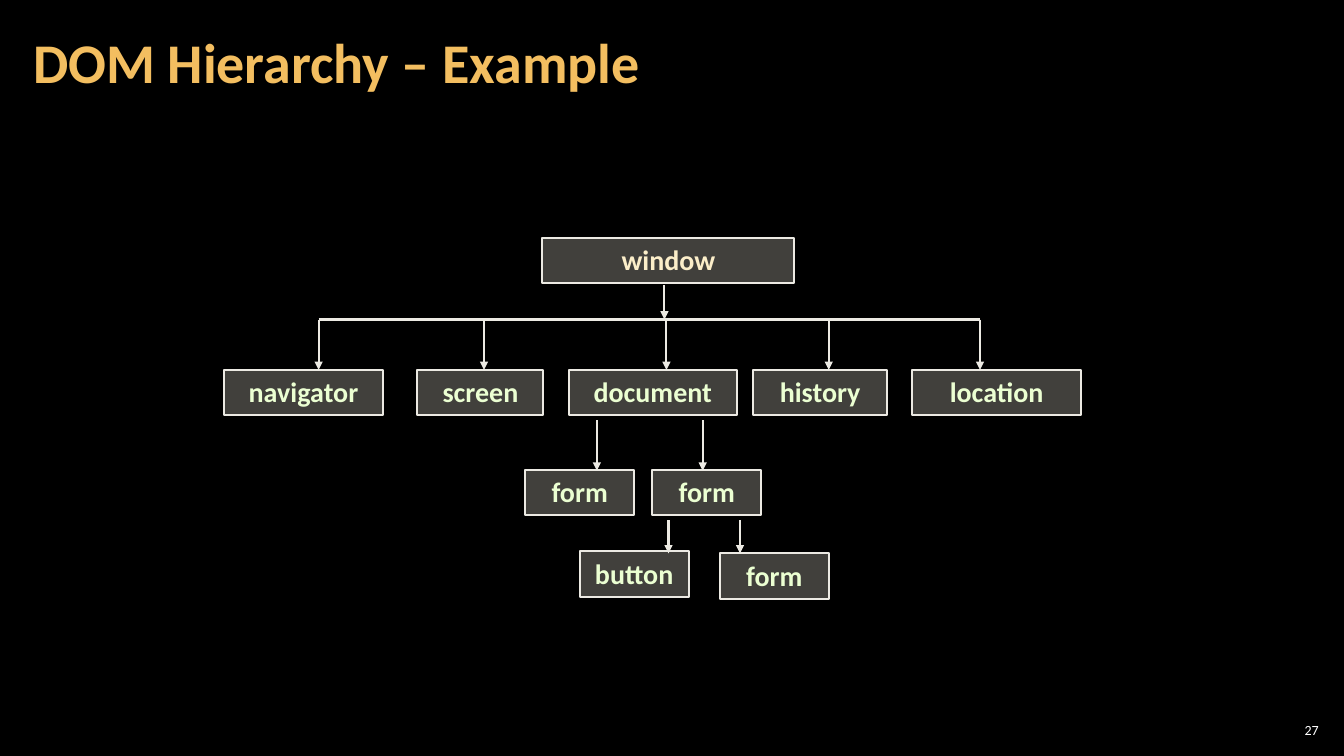
from dataclasses import dataclass

from lxml.etree import SubElement
from pptx import Presentation
from pptx.dml.color import RGBColor
from pptx.enum.shapes import MSO_CONNECTOR, MSO_SHAPE
from pptx.enum.text import MSO_ANCHOR as Anchor, MSO_AUTO_SIZE as AutoSize, PP_ALIGN as Align
from pptx.oxml.ns import qn
from pptx.slide import Slide
from pptx.text.text import TextFrame
from pptx.util import Inches, Pt

BACKGROUND = "000000"
TITLE_COLOR = "F3BE60"
NUMBER_COLOR = "FFFFFF"
BOX_FILL = "D9D5C7"
BOX_OPACITY = 30
LINE_COLOR = "ECEAE3"
ROOT_TEXT = "FBEEC9"
NODE_TEXT = "EBFFD2"
LINE_WIDTH = Pt(1.5)
BOX_HEIGHT = 0.45
BUS_Y = 3.17
OBJECT_Y = 3.67
FORM_Y = 4.66


@dataclass(frozen=True)
class Node:
    label: str
    left: float
    top: float
    width: float
    color: str = NODE_TEXT


@dataclass(frozen=True)
class Link:
    start: tuple[float, float]
    end: tuple[float, float]
    arrow: bool = True


def drop(x: float, top: float, bottom: float) -> Link:
    """Vertical arrow pointing down."""
    return Link((x, top), (x, bottom))


NODES = [
    Node("window", 5.38, 2.36, 2.5, ROOT_TEXT),
    Node("navigator", 2.22, OBJECT_Y, 1.58),
    Node("screen", 4.14, OBJECT_Y, 1.25),
    Node("document", 5.64, OBJECT_Y, 1.67),
    Node("history", 7.47, OBJECT_Y, 1.33),
    Node("location", 9.05, OBJECT_Y, 1.67),
    Node("form", 5.21, FORM_Y, 1.08),
    Node("form", 6.47, FORM_Y, 1.08),
    Node("button", 5.75, 5.47, 1.08),
    Node("form", 7.14, 5.49, 1.08),
]

OBJECT_XS = (3.16, 4.8, 6.61, 8.22, 9.72)
LINKS = [
    drop(6.59, 2.83, BUS_Y),
    Link((OBJECT_XS[0], BUS_Y), (OBJECT_XS[-1], BUS_Y), arrow=False),
    *(drop(x, BUS_Y, OBJECT_Y) for x in OBJECT_XS),
    *(drop(x, 4.17, 4.67) for x in (5.92, 6.97)),
    *(drop(x, 5.16, 5.49) for x in (6.63, 7.34)),
]


def rgb(color: str) -> RGBColor:
    return RGBColor.from_string(color)


def set_all(target: object, values: dict[str, object]) -> None:
    for name, value in values.items():
        setattr(target, name, value)


def write(frame: TextFrame, text: str, size: int, color: str, align: Align,
          margins: tuple[float, float], bold: bool = True,
          anchor: Anchor = Anchor.MIDDLE, auto_size: AutoSize = AutoSize.NONE) -> None:
    """Fill a frame with one formatted paragraph; margins are side, then top and bottom."""
    side, edge = (Inches(margin) for margin in margins)
    set_all(frame, {
        "text": text, "word_wrap": True, "auto_size": auto_size, "vertical_anchor": anchor,
        "margin_left": side, "margin_right": side, "margin_top": edge, "margin_bottom": edge,
    })
    paragraph = frame.paragraphs[0]
    paragraph.alignment = align
    font = paragraph.runs[0].font
    set_all(font, {"name": "Calibri", "size": Pt(size), "bold": bold})
    font.color.rgb = rgb(color)


def add_title(slide: Slide, text: str) -> None:
    title = slide.shapes.title
    set_all(title, {"left": Inches(0.21), "top": Inches(0.04),
                    "width": Inches(10.47), "height": Inches(1.21)})
    write(title.text_frame, text, 40, TITLE_COLOR, Align.LEFT, (0.12, 0.04))
    title.text_frame.paragraphs[0].line_spacing = 0.9


def add_page_number(slide: Slide, number: str) -> None:
    box = slide.shapes.add_textbox(Inches(12.65), Inches(7.14), Inches(0.47), Inches(0.21))
    write(box.text_frame, number, 10, NUMBER_COLOR, Align.RIGHT, (0.04, 0.04), bold=False)


def add_node(slide: Slide, node: Node) -> None:
    box = slide.shapes.add_shape(MSO_SHAPE.RECTANGLE, Inches(node.left), Inches(node.top),
                                 Inches(node.width), Inches(BOX_HEIGHT))
    box.shadow.inherit = False
    box.fill.solid()
    box.fill.fore_color.rgb = rgb(BOX_FILL)
    fill_color = box.fill._xPr.find(qn("a:solidFill")).find(qn("a:srgbClr"))
    SubElement(fill_color, qn("a:alpha"), val=str(BOX_OPACITY * 1000))
    box.line.color.rgb = rgb(LINE_COLOR)
    box.line.width = LINE_WIDTH
    write(box.text_frame, node.label, 20, node.color, Align.CENTER, (0.1, 0.05),
          anchor=Anchor.TOP, auto_size=AutoSize.SHAPE_TO_FIT_TEXT)


def add_link(slide: Slide, link: Link) -> None:
    ends = (Inches(value) for value in (*link.start, *link.end))
    connector = slide.shapes.add_connector(MSO_CONNECTOR.STRAIGHT, *ends)
    connector.line.color.rgb = rgb(LINE_COLOR)
    connector.line.width = LINE_WIDTH
    if link.arrow:
        SubElement(connector.line._get_or_add_ln(), qn("a:tailEnd"), type="triangle")
    SubElement(connector._element.spPr, qn("a:effectLst"))


def main() -> None:
    deck = Presentation()
    set_all(deck, {"slide_width": Inches(13.33), "slide_height": Inches(7.5)})
    slide = deck.slides.add_slide(deck.slide_layouts.get_by_name("Title Only"))
    slide.background.fill.solid()
    slide.background.fill.fore_color.rgb = rgb(BACKGROUND)
    add_title(slide, "DOM Hierarchy – Example")
    for node in NODES:
        add_node(slide, node)
    for link in LINKS:
        add_link(slide, link)
    add_page_number(slide, "27")
    deck.save("out.pptx")


if __name__ == "__main__":
    main()
